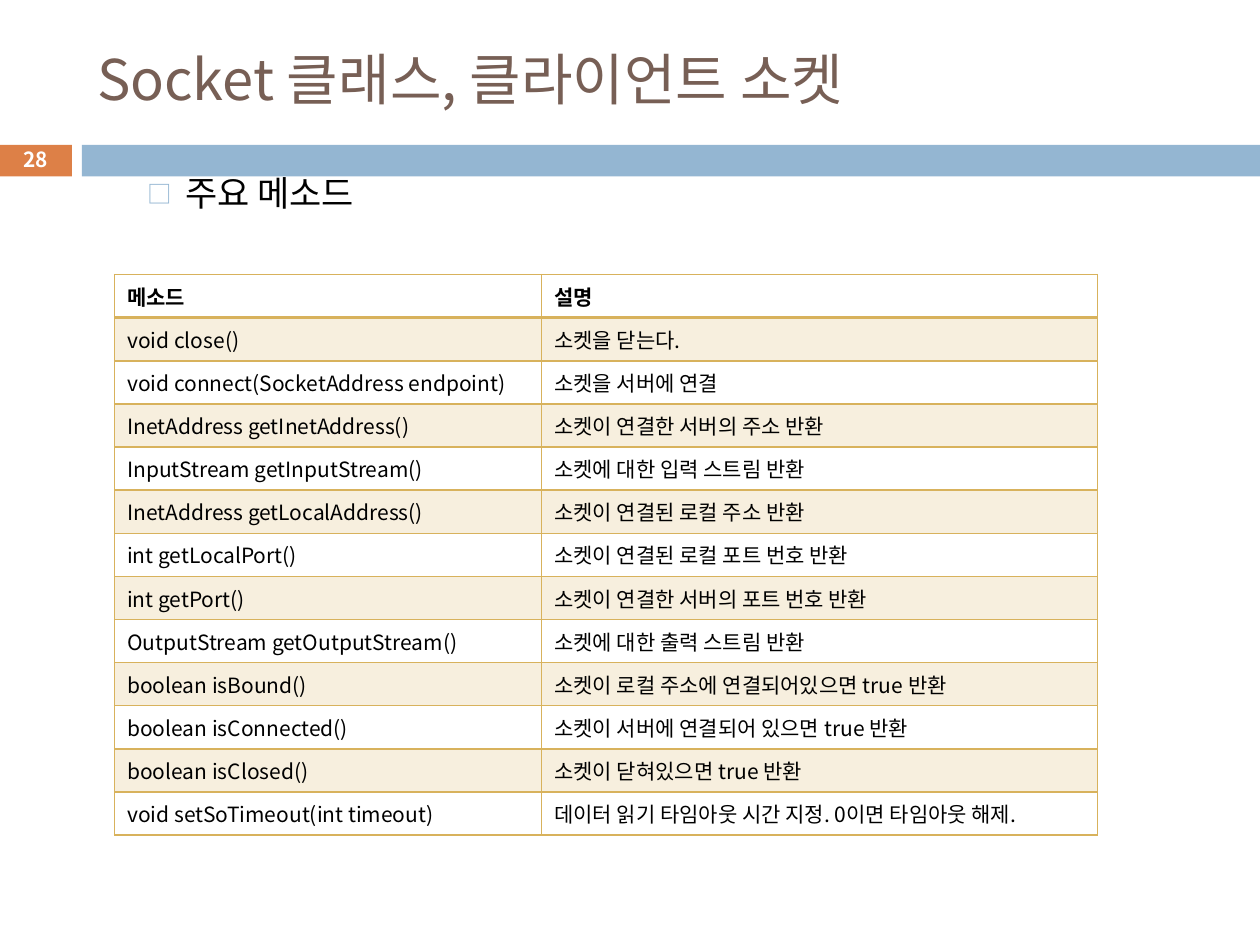
from lxml.etree import SubElement
from pptx import Presentation
from pptx.dml.color import RGBColor
from pptx.enum.shapes import MSO_SHAPE
from pptx.enum.text import MSO_ANCHOR, MSO_AUTO_SIZE, PP_ALIGN
from pptx.oxml import parse_xml
from pptx.oxml.ns import nsdecls, qn
from pptx.util import Inches, Pt

FONT = "Noto Sans CJK KR"
COLORS = {
    "title": "775F55",
    "text": "000000",
    "white": "FFFFFF",
    "orange": "DD8047",
    "blue": "94B6D2",
    "gold": "D8B25C",
}
METHODS = [
    ("메소드", "설명"),
    ("void close()", "소켓을 닫는다."),
    ("void connect(SocketAddress endpoint)", "소켓을 서버에 연결"),
    ("InetAddress getInetAddress()", "소켓이 연결한 서버의 주소 반환"),
    ("InputStream getInputStream()", "소켓에 대한 입력 스트림 반환"),
    ("InetAddress getLocalAddress()", "소켓이 연결된 로컬 주소 반환"),
    ("int getLocalPort()", "소켓이 연결된 로컬 포트 번호 반환"),
    ("int getPort()", "소켓이 연결한 서버의 포트 번호 반환"),
    ("OutputStream getOutputStream()", "소켓에 대한 출력 스트림 반환"),
    ("boolean isBound()", "소켓이 로컬 주소에 연결되어있으면 true 반환"),
    ("boolean isConnected()", "소켓이 서버에 연결되어 있으면 true 반환"),
    ("boolean isClosed()", "소켓이 닫혀있으면 true 반환"),
    ("void setSoTimeout(int timeout)", "데이터 읽기 타임아웃 시간 지정. 0이면 타임아웃 해제."),
]


def write(frame, text, size, color="text", bold=False, align=PP_ALIGN.LEFT):
    """Fill the first paragraph of a text frame and return it."""
    paragraph = frame.paragraphs[0]
    paragraph.alignment = align
    paragraph.space_before = Pt(0)
    run = paragraph.add_run()
    run.text = text
    run.font.name = FONT
    run.font.size = Pt(size)
    run.font.bold = bold
    run.font.color.rgb = RGBColor.from_string(COLORS[color])
    SubElement(run.font._element, qn("a:ea"), typeface=FONT)
    return paragraph


def set_borders(cell, widths):
    """Draw gold borders; widths are points for left, right, top, bottom."""
    properties = cell._tc.get_or_add_tcPr()
    for position, (side, width) in enumerate(zip("LRTB", widths)):
        properties.insert(position, parse_xml(
            f'<a:ln{side} {nsdecls("a")} w="{Pt(width)}"><a:solidFill>'
            f'<a:srgbClr val="{COLORS["gold"]}"/></a:solidFill></a:ln{side}>'))


prs = Presentation()
prs.slide_width, prs.slide_height = Inches(10), Inches(7.5)
slide = prs.slides.add_slide(prs.slide_layouts[1])

# Header bars, behind the placeholders
bars = [(-0.01, 0.58, "orange"), (0.65, 9.35, "blue")]
for position, (left, width, color) in enumerate(bars, start=2):
    bar = slide.shapes.add_shape(
        MSO_SHAPE.RECTANGLE, Inches(left), Inches(1.15), Inches(width), Inches(0.25))
    bar.shadow.inherit = False
    bar.fill.solid()
    bar.fill.fore_color.rgb = RGBColor.from_string(COLORS[color])
    bar.line.fill.background()
    slide.shapes._spTree.insert(position, bar._element)

# Title and bullet
title, body = slide.shapes.title, slide.placeholders[1]
for holder, top, height in [(title, 0.25, 0.74), (body, 1.31, 5.78)]:
    holder.left, holder.top = Inches(0.67), Inches(top)
    holder.width, holder.height = Inches(8.92), Inches(height)
    holder.text_frame.auto_size = MSO_AUTO_SIZE.NONE
title.text_frame.vertical_anchor = MSO_ANCHOR.MIDDLE
write(title.text_frame, "Socket 클래스, 클라이언트 소켓", 32, color="title")

bullet = write(body.text_frame, "주요 메소드", 20)
bullet.level = 1
bullet_format = bullet._p.get_or_add_pPr()
bullet_format.set("marL", str(Inches(0.7)))
bullet_format.set("indent", str(Inches(-0.3)))
bullet_color = SubElement(bullet_format, qn("a:buClr"))
SubElement(bullet_color, qn("a:srgbClr"), val=COLORS["blue"])
SubElement(bullet_format, qn("a:buSzPct"), val="70000")
SubElement(bullet_format, qn("a:buFont"), typeface=FONT)
SubElement(bullet_format, qn("a:buChar"), char="□")

# Method table
table = slide.shapes.add_table(
    len(METHODS), 2, Inches(0.91), Inches(2.18), Inches(7.8), Inches(3.9)).table
table.horz_banding = False
for column, width in zip(table.columns, (3.39, 4.41)):
    column.width = Inches(width)
for row, texts in enumerate(METHODS):
    for column, text in enumerate(texts):
        cell = table.cell(row, column)
        write(cell.text_frame, text, 12, bold=row == 0)
        if row % 2:
            cell.fill.solid()
            cell.fill.fore_color.rgb = RGBColor.from_string(COLORS["gold"])
            tint = cell._tc.tcPr.find(".//" + qn("a:srgbClr"))
            SubElement(tint, qn("a:alpha"), val="20000")
        else:
            cell.fill.background()
        set_borders(cell, (1, 1, 2 if row == 1 else 1, 2 if row == 0 else 1))

# Page number
number = slide.shapes.add_textbox(
    Inches(-0.01), Inches(1.13), Inches(0.58), Inches(0.27)).text_frame
number.word_wrap = True
number.vertical_anchor = MSO_ANCHOR.MIDDLE
write(number, "28", 11.9, color="white", bold=True, align=PP_ALIGN.CENTER)

prs.save("out.pptx")
